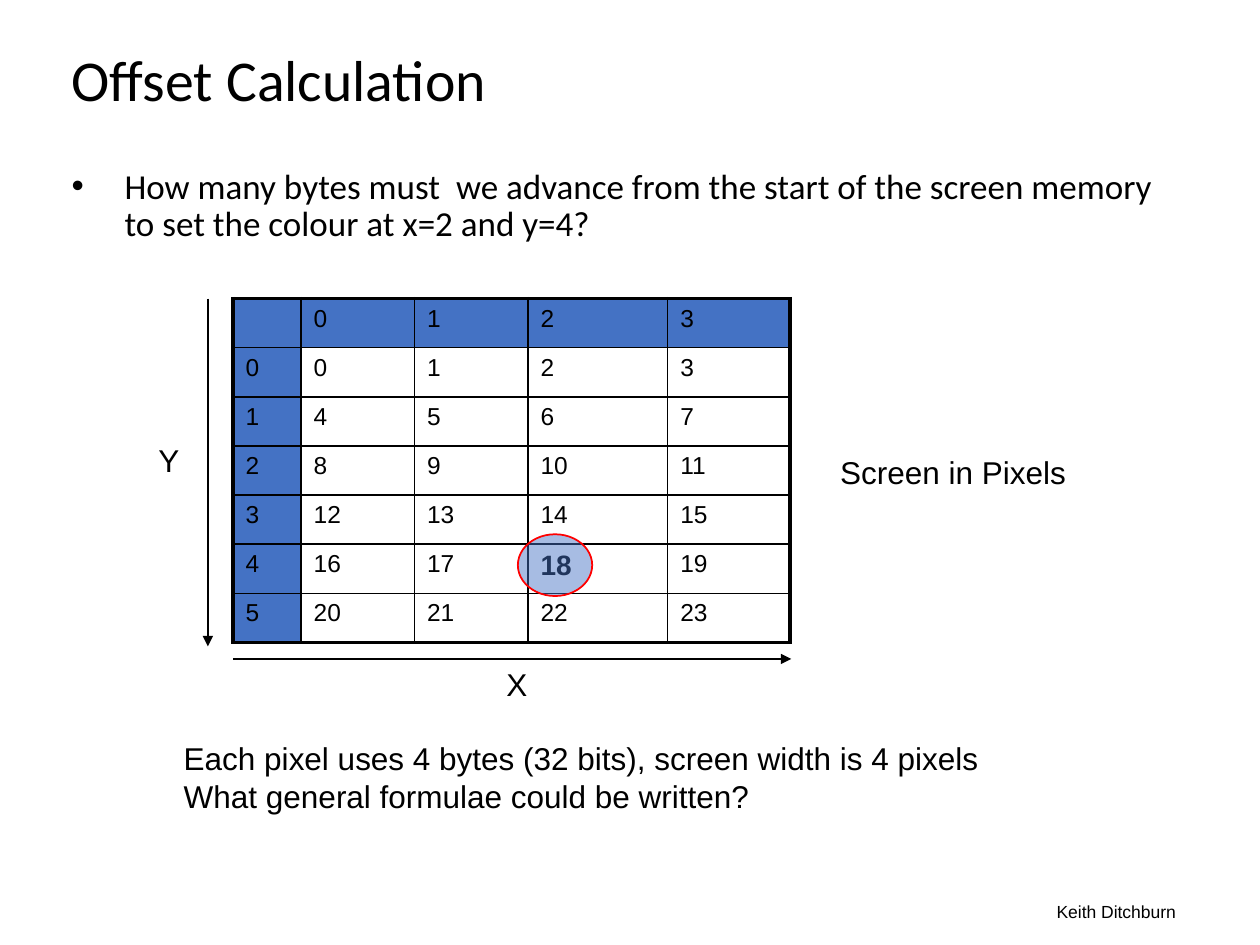
from dataclasses import dataclass
from lxml import etree
from pptx import Presentation, util as u
from pptx.dml.color import RGBColor
from pptx.enum import shapes, text
from pptx.oxml.ns import qn


@dataclass(frozen=True)
class Theme:
    ink: str = "000000"
    blue: str = "4472C4"
    red: str = "FF0000"
    head: str = "Calibri"
    body: str = "Arial"
    title: int = 33
    lead: int = 20
    label: int = 18
    mark: int = 16
    cell: int = 14
    foot: int = 10


T = Theme()


def color(code):
    return RGBColor.from_string(code)


def place(shape, left, top, width, height):
    shape.left, shape.top = u.Inches(left), u.Inches(top)
    shape.width, shape.height = u.Inches(width), u.Inches(height)


def style(para, size, face=T.body, bold=False):
    font = para.font
    font.name, font.size, font.bold = face, u.Pt(size), bold
    font.color.rgb = color(T.ink)


def add_title(slide, words):
    title = slide.shapes.title
    place(title, 0.47, 0.21, 9, 0.89)
    frame = title.text_frame
    frame.text = words
    frame.auto_size = text.MSO_AUTO_SIZE.NONE
    frame.vertical_anchor = text.MSO_ANCHOR.MIDDLE
    para = frame.paragraphs[0]
    para.alignment = text.PP_ALIGN.LEFT
    para.line_spacing = 0.9
    style(para, T.title, T.head)


def add_text(slide, box, lines, size=T.label, face=T.body, wrap=False):
    shape = slide.shapes.add_textbox(*map(u.Inches, box))
    frame = shape.text_frame
    frame.word_wrap = wrap
    frame.text = "\n".join(lines)
    for para in frame.paragraphs:
        style(para, size, face)
    return frame.paragraphs[0]


def add_bullet(para, indent):
    para.line_spacing = 0.9
    para.space_before = u.Pt(7.5)
    props = para._p.get_or_add_pPr()
    props.set("marL", str(u.Inches(indent)))
    props.set("indent", str(-u.Inches(indent)))
    font = etree.Element(qn("a:buFont"), typeface="Arial")
    mark = etree.Element(qn("a:buChar"), char="•")
    spot = props.index(props.find(qn("a:spcBef"))) + 1
    props[spot:spot] = [font, mark]


def add_edge(cell, side, width):
    props = cell._tc.get_or_add_tcPr()
    line = etree.SubElement(props, qn("a:ln" + side), w=str(u.Pt(width)))
    fill = etree.SubElement(line, qn("a:solidFill"))
    etree.SubElement(fill, qn("a:srgbClr"), val=T.ink)


def add_grid(slide, rows, cols, target):
    widths = [0.54, 0.9, 0.9, 1.11, 0.97]
    box = map(u.Inches, (1.85, 2.37, sum(widths), 0.39 * (rows + 1)))
    table = slide.shapes.add_table(rows + 1, cols + 1, *box).table
    table.first_row = table.horz_banding = False
    for col, width in zip(table.columns, widths):
        col.width = u.Inches(width)
    for y, row in enumerate(table.rows):
        row.height = u.Inches(0.39)
        for x, cell in enumerate(row.cells):
            value = (y - 1) * cols + x - 1
            if y == 0:
                value = x - 1
            elif x == 0:
                value = y - 1
            cell.text = str(value) if x or y else ""
            hit = bool(x and y and value == target)
            style(cell.text_frame.paragraphs[0], T.mark if hit else T.cell, bold=hit)
            outer = {"L": x == 0, "R": x == cols, "T": y == 0, "B": y == rows}
            for side, edge in outer.items():
                add_edge(cell, side, 2.25 if edge else 1)
            if x and y:
                cell.fill.background()
            else:
                cell.fill.solid()
                cell.fill.fore_color.rgb = color(T.blue)


def add_arrow(slide, *ends):
    arrow = slide.shapes.add_connector(
        shapes.MSO_CONNECTOR.STRAIGHT, *map(u.Inches, ends))
    arrow.line.width = u.Pt(0.75)
    arrow.line.color.rgb = color(T.ink)
    etree.SubElement(arrow.line._get_or_add_ln(), qn("a:tailEnd"), type="triangle")
    etree.SubElement(arrow._element.spPr, qn("a:effectLst"))


def add_ring(slide, *box):
    ring = slide.shapes.add_shape(shapes.MSO_SHAPE.OVAL, *map(u.Inches, box))
    ring.shadow.inherit = False
    ring.fill.solid()
    ring.fill.fore_color.rgb = color(T.blue)
    tint = ring._element.spPr.find(qn("a:solidFill"))[0]
    etree.SubElement(tint, qn("a:alpha"), val="47000")
    ring.line.color.rgb = color(T.red)
    ring.line.width = u.Pt(1)


def main():
    deck = Presentation()
    deck.slide_width, deck.slide_height = u.Inches(10), u.Inches(7.5)
    slide = deck.slides.add_slide(deck.slide_layouts[5])
    foot = add_text(slide, (7.07, 7.1, 2.36, 0.27), ["Keith Ditchburn"], T.foot, wrap=True)
    foot.alignment = text.PP_ALIGN.RIGHT
    add_title(slide, "Offset Calculation")
    lead = add_text(slide, (0.47, 1.29, 8.83, 0.89), [
        "How many bytes must  we advance from the start of the screen memory "
        "to set the colour at x=2 and y=4?"], T.lead, T.head, True)
    add_bullet(lead, 0.42)
    add_grid(slide, 6, 4, 18)
    add_arrow(slide, 1.85, 5.23, 6.28, 5.23)
    add_arrow(slide, 1.65, 2.37, 1.65, 5.13)
    add_text(slide, (1.16, 3.45, 0.37, 0.4), ["Y"])
    add_text(slide, (3.92, 5.23, 0.37, 0.4), ["X"])
    add_text(slide, (6.57, 3.55, 1.99, 0.4), ["Screen in Pixels"])
    add_text(slide, (1.36, 5.82, 6.51, 0.7), [
        "Each pixel uses 4 bytes (32 bits), screen width is 4 pixels",
        "What general formulae could be written?"])
    add_ring(slide, 4.11, 4.24, 0.59, 0.49)
    deck.save("out.pptx")


main()
